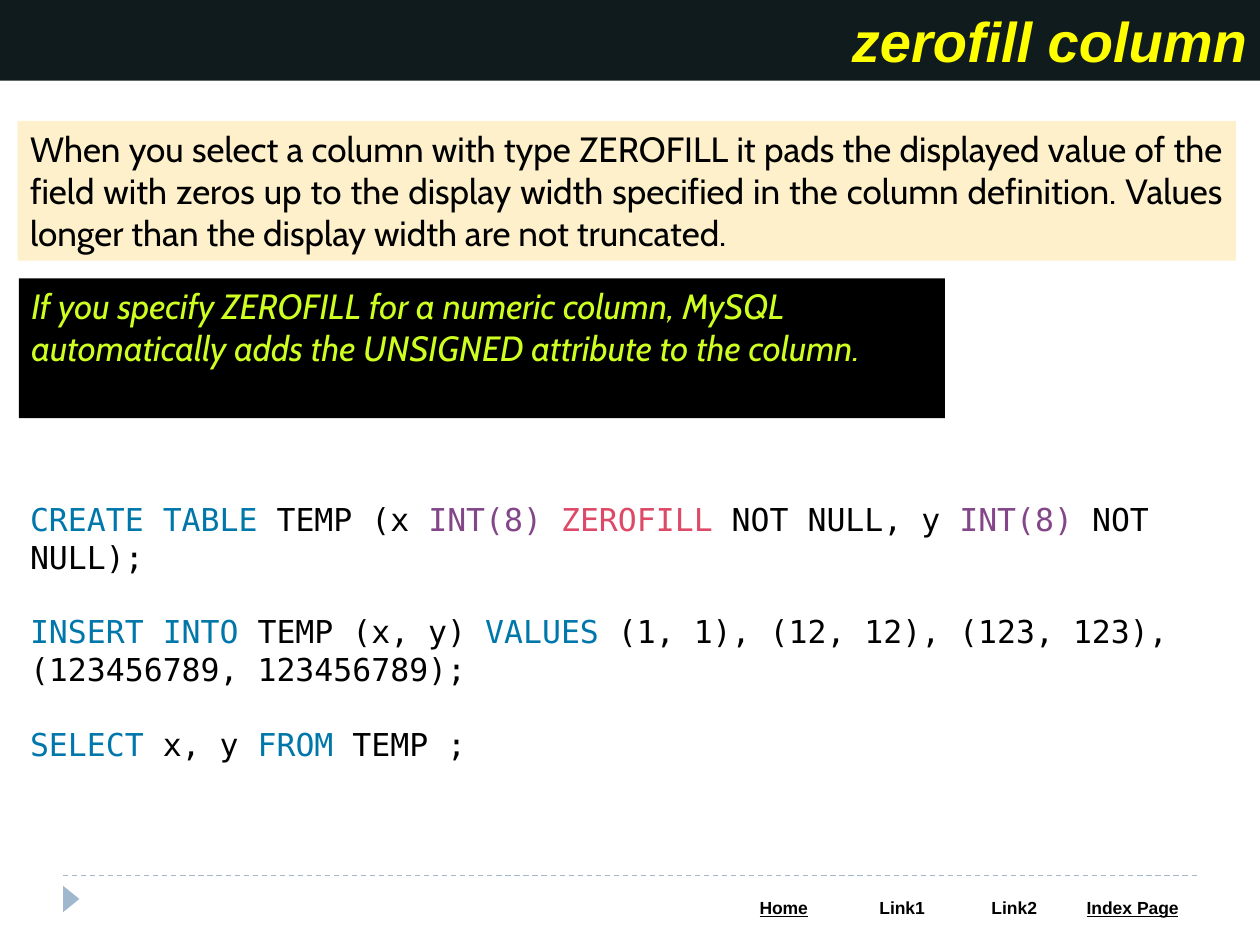
from pptx import Presentation
from pptx.dml.color import RGBColor
from pptx.enum.dml import MSO_LINE
from pptx.enum.shapes import MSO_CONNECTOR, MSO_SHAPE
from pptx.enum.text import MSO_ANCHOR, PP_ALIGN
from pptx.oxml.ns import qn
from pptx.util import Inches, Pt
from lxml import etree

BLACK = RGBColor(0, 0, 0)
WHITE = RGBColor(255, 255, 255)
YELLOW = RGBColor(255, 255, 0)
LIME = RGBColor(0xCF, 0xFF, 0x21)
DARK = RGBColor(0x10, 0x1B, 0x1D)
CREAM = RGBColor(0xFD, 0xF0, 0xCA)
STEEL = RGBColor(0x9F, 0xB8, 0xCD)
KEYWORD = RGBColor(0x00, 0x77, 0xAA)
DATATYPE = RGBColor(0x83, 0x46, 0x89)
MODIFIER = RGBColor(0xDD, 0x4A, 0x68)

TITLE = "zerofill column"
DEFINITION = (
    "When you select a column with type ZEROFILL it pads the displayed value of the "
    "field with zeros up to the display width specified in the column definition. "
    "Values longer than the display width are not truncated."
)
NOTE = (
    "If you specify ZEROFILL for a numeric column, MySQL automatically adds the "
    "UNSIGNED attribute to the column."
)
STATEMENTS = [
    [("CREATE TABLE", KEYWORD), (" TEMP (x ", BLACK), ("INT(8) ", DATATYPE),
     ("ZEROFILL", MODIFIER), (" NOT NULL, y ", BLACK), ("INT(8)", DATATYPE),
     (" NOT NULL);", BLACK)],
    [("INSERT INTO", KEYWORD), (" TEMP (x, y) ", BLACK), ("VALUES", KEYWORD),
     (" (1, 1), (12, 12), (123, 123), (123456789, 123456789);", BLACK)],
    [("SELECT", KEYWORD), (" x, y ", BLACK), ("FROM", KEYWORD), (" TEMP ;", BLACK)],
]
LINKS = [("Home", 0.94, True), ("Link1", 0.94, False),
         ("Link2", 0.84, False), ("Index Page", 1.04, True)]

WIDTH, HEIGHT = 10, 7.5
EDGE, BODY_WIDTH, PANEL_HEIGHT = 0.14, 9.67, 1.11
FOOTER_MARGIN, FOOTER_TOP, FOOTER_HEIGHT = 0.5, 7.08, 0.27


def style(font, name, size, color, bold=False, italic=False):
    font.name, font.size = name, Pt(size)
    font.bold, font.italic = bold, italic
    font.color.rgb = color


def add_filled(slide, kind, box, fill):
    shape = slide.shapes.add_shape(kind, *map(Inches, box))
    shape.shadow.inherit = False
    shape.fill.solid()
    shape.fill.fore_color.rgb = fill
    shape.line.fill.background()
    return shape


def add_panel(slide, box, fill, text, align, anchor, **font):
    frame = add_filled(slide, MSO_SHAPE.RECTANGLE, box, fill).text_frame
    frame.word_wrap = True
    frame.vertical_anchor = anchor
    frame.text = text
    frame.paragraphs[0].alignment = align
    style(frame.paragraphs[0].runs[0].font, **font)


def add_footer(slide):
    marker = add_filled(slide, MSO_SHAPE.ISOSCELES_TRIANGLE, (0.46, 7.07, 0.21, 0.13), STEEL)
    marker.rotation = 90
    right = WIDTH - FOOTER_MARGIN
    rule = slide.shapes.add_connector(
        MSO_CONNECTOR.STRAIGHT, *map(Inches, (FOOTER_MARGIN, 6.95, right, 6.95)))
    rule.line.color.rgb = STEEL
    rule.line.width = Pt(0.75)
    rule.line.dash_style = MSO_LINE.DASH
    etree.SubElement(rule._element.spPr, qn("a:effectLst"))

    links_width = sum(width for _, width, _ in LINKS)
    links = slide.shapes.add_table(
        1, len(LINKS), *map(Inches, (5.75, FOOTER_TOP, links_width, FOOTER_HEIGHT))).table
    for column, cell, (label, width, underlined) in zip(links.columns, links.iter_cells(), LINKS):
        column.width = Inches(width)
        cell.fill.solid()
        cell.fill.fore_color.rgb = WHITE
        cell.text = label
        paragraph = cell.text_frame.paragraphs[0]
        paragraph.alignment = PP_ALIGN.CENTER
        font = paragraph.runs[0].font
        style(font, "Arial", 10, BLACK, bold=True)
        font.underline = underlined


def add_statements(slide):
    code = slide.shapes.add_textbox(*map(Inches, (EDGE, 3.92, BODY_WIDTH, 1.92))).text_frame
    code.word_wrap = True
    for index, statement in enumerate(STATEMENTS):
        paragraph = code.add_paragraph() if index else code.paragraphs[0]
        if index:
            paragraph.space_before = Pt(21)
        for text, color in statement:
            run = paragraph.add_run()
            run.text = text
            style(run.font, "DejaVu Sans Mono", 18, color)


def main():
    deck = Presentation()
    deck.slide_width, deck.slide_height = Inches(WIDTH), Inches(HEIGHT)
    slide = deck.slides.add_slide(deck.slide_layouts[6])
    add_footer(slide)
    add_panel(slide, (0, 0, WIDTH, 0.64), DARK, TITLE, PP_ALIGN.RIGHT, MSO_ANCHOR.MIDDLE,
              name="Arial", size=32, color=YELLOW, bold=True, italic=True)
    add_panel(slide, (EDGE, 0.96, BODY_WIDTH, PANEL_HEIGHT), CREAM, DEFINITION,
              PP_ALIGN.JUSTIFY, MSO_ANCHOR.TOP, name="Cabin", size=20, color=BLACK)
    add_statements(slide)
    add_panel(slide, (0.15, 2.21, 7.35, PANEL_HEIGHT), BLACK, NOTE,
              PP_ALIGN.LEFT, MSO_ANCHOR.TOP, name="Cabin", size=20, color=LIME, italic=True)
    deck.save("out.pptx")


if __name__ == "__main__":
    main()
